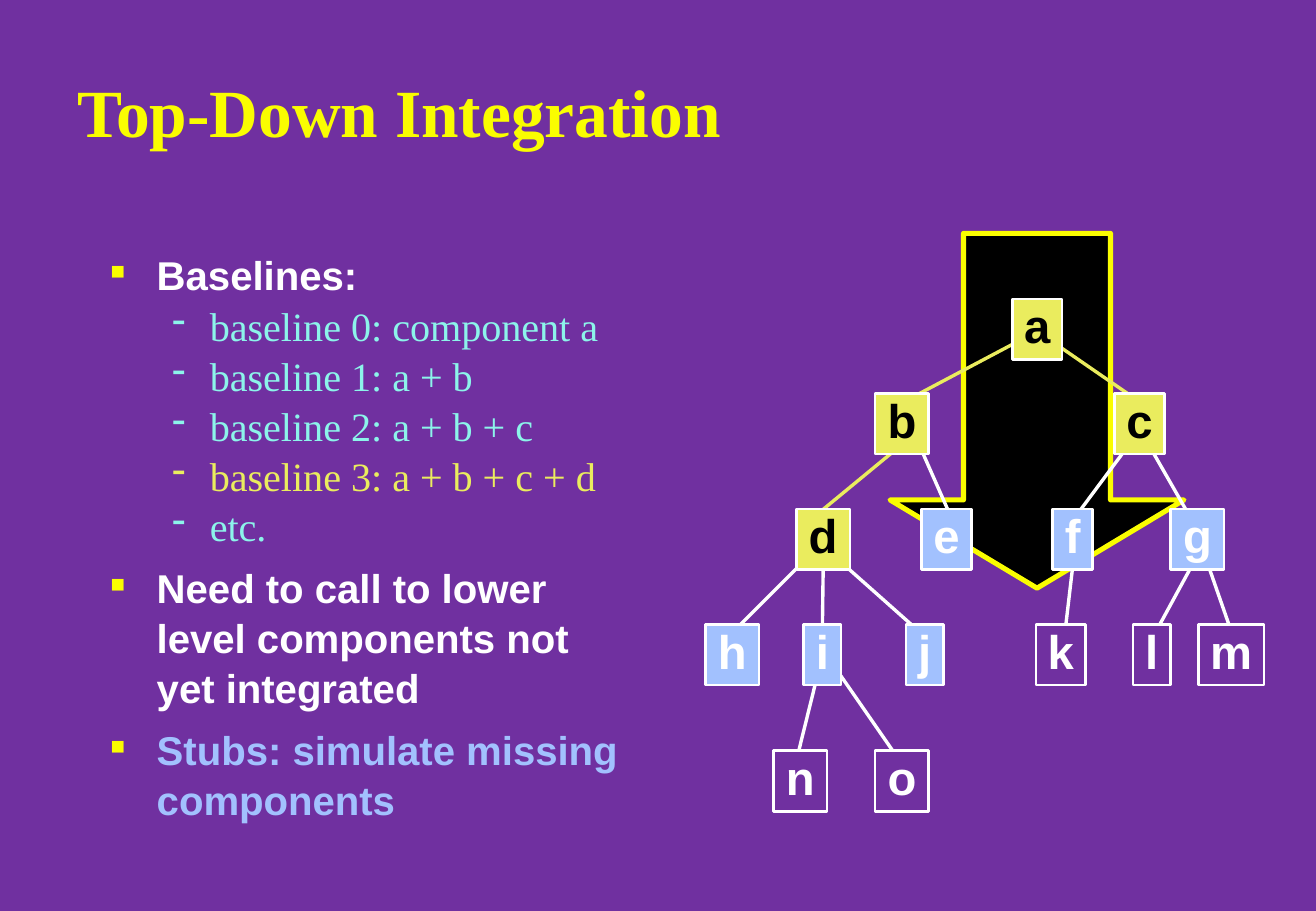
from lxml.etree import SubElement
from pptx import Presentation
from pptx.dml.color import RGBColor
from pptx.enum.shapes import MSO_CONNECTOR as Connector, MSO_SHAPE as Shape
from pptx.enum.text import MSO_ANCHOR as Anchor, PP_ALIGN as Align
from pptx.oxml.ns import qn
from pptx.util import Cm, Pt

PURPLE = RGBColor(0x70, 0x30, 0xA0)
YELLOW = RGBColor(0xFA, 0xFD, 0x00)
PALE_YELLOW = RGBColor(0xEA, 0xEC, 0x5E)
AQUA = RGBColor(0x8C, 0xF4, 0xEA)
BLUE = RGBColor(0xA2, 0xC1, 0xFE)
WHITE = RGBColor(0xFF, 0xFF, 0xFF)
BLACK = RGBColor(0x00, 0x00, 0x00)

SANS = "Arial"
SERIF = "Times New Roman"

POINTS = [
    ("Baselines:", WHITE, [
        ("baseline 0: component a", AQUA),
        ("baseline 1: a + b", AQUA),
        ("baseline 2: a + b + c", AQUA),
        ("baseline 3: a + b + c + d", PALE_YELLOW),
        ("etc.", AQUA),
    ]),
    ("Need to call to lower\nlevel components not\nyet integrated", WHITE, []),
    ("Stubs: simulate missing\ncomponents", BLUE, []),
]

INTEGRATED = "abcd"
STUBS = "efghij"
COMPONENT_HEIGHT = 1.27
COMPONENT_ROWS = [
    (6.25, {"a": 21.18}),
    (8.23, {"b": 18.31, "c": 23.32}),
    (10.64, {"d": 16.66, "e": 19.28, "f": 22.02, "g": 24.49}),
    (13.06, {"h": 14.76, "i": 16.81, "j": 18.95,
             "k": 21.67, "l": 23.7, "m": 25.07}),
    (15.7, {"n": 16.18, "o": 18.31}),
]
COMPONENT_WIDTHS = {"acek": 1.04, "bdghno": 1.12, "f": 0.84, "ijl": 0.79, "m": 1.37}

PENDING_CALLS = [
    (19.25, 9.35, 19.89, 10.8),
    (23.9, 8.92, 22.5, 10.8),
    (23.88, 9.04, 24.89, 10.8),
    (24.97, 11.76, 24.18, 13.21),
    (25.15, 11.46, 25.83, 13.41),
    (22.48, 11.51, 22.28, 13.21),
    (17.17, 11.38, 15.21, 13.34),
    (17.6, 11.76, 19.38, 13.34),
    (17.2, 13.72, 16.66, 15.9),
    (17.27, 13.67, 18.87, 15.98),
]
INTEGRATED_CALLS = [
    (21.54, 7.01, 18.95, 8.38),
    (21.82, 7.01, 23.88, 8.43),
    (18.8, 9.35, 17.04, 10.8),
]


def write(paragraph, text, *, font, size, color, bold=False,
          align=Align.LEFT, spacing=1.0, before=0):
    paragraph.alignment = align
    paragraph.line_spacing = spacing
    paragraph.space_before = Pt(before)
    for number, line in enumerate(text.split("\n")):
        if number:
            paragraph.add_line_break()
        run = paragraph.add_run()
        run.text = line
        run.font.name = font
        run.font.size = Pt(size)
        run.font.bold = bold
        run.font.color.rgb = color


def add_bullet(paragraph, mark, color, margin, hanging, percent=100):
    properties = paragraph._p.get_or_add_pPr()
    properties.set("marL", str(Cm(margin)))
    properties.set("indent", str(-Cm(hanging)))
    bullet_color = SubElement(properties, qn("a:buClr"))
    SubElement(bullet_color, qn("a:srgbClr"), val=str(color))
    SubElement(properties, qn("a:buSzPct"), val=str(percent * 1000))
    SubElement(properties, qn("a:buChar"), char=mark)


def add_text_frame(slide, left, top, width, height, anchor):
    frame = slide.shapes.add_textbox(
        Cm(left), Cm(top), Cm(width), Cm(height)).text_frame
    frame.word_wrap = True
    frame.vertical_anchor = anchor
    return frame


def add_points(slide):
    frame = add_text_frame(slide, 2.06, 5.08, 23.39, 11.86, Anchor.TOP)
    paragraph = frame.paragraphs[0]
    for index, (point, color, details) in enumerate(POINTS):
        if index:
            paragraph = frame.add_paragraph()
        write(paragraph, point, font=SANS, size=23.8, color=color,
              bold=True, spacing=1.04, before=7)
        add_bullet(paragraph, "■", YELLOW, 0.97, 0.97, 50)
        for detail, detail_color in details:
            paragraph = frame.add_paragraph()
            paragraph.level = 1
            write(paragraph, detail, font=SERIF, size=23.8,
                  color=detail_color, spacing=1.04)
            add_bullet(paragraph, "-", detail_color, 2.08, 0.79)


def add_box(slide, kind, left, top, width, height, fill, line, weight):
    box = slide.shapes.add_shape(kind, Cm(left), Cm(top), Cm(width), Cm(height))
    box.shadow.inherit = False
    box.fill.solid()
    box.fill.fore_color.rgb = fill
    box.line.color.rgb = line
    box.line.width = Pt(weight)
    return box


def add_call(slide, ends, color):
    call = slide.shapes.add_connector(Connector.STRAIGHT, *map(Cm, ends))
    call.line.color.rgb = color
    call.line.width = Pt(2)
    SubElement(call._element.spPr, qn("a:effectLst"))
    return call


def add_component(slide, letter, left, top):
    width = next(w for letters, w in COMPONENT_WIDTHS.items() if letter in letters)
    if letter in INTEGRATED:
        fill, ink = PALE_YELLOW, BLACK
    elif letter in STUBS:
        fill, ink = BLUE, WHITE
    else:
        fill, ink = PURPLE, WHITE
    component = add_box(slide, Shape.RECTANGLE, left, top, width,
                        COMPONENT_HEIGHT, fill, WHITE, 1.5)
    frame = component.text_frame
    frame.word_wrap = False
    frame.vertical_anchor = Anchor.MIDDLE
    write(frame.paragraphs[0], letter, font=SANS, size=28, color=ink,
          bold=True, align=Align.CENTER, spacing=0.85)
    return component


def add_component_tree(slide):
    for calls, color in ((PENDING_CALLS, WHITE), (INTEGRATED_CALLS, PALE_YELLOW)):
        for ends in calls:
            add_call(slide, ends, color)
    components = {
        letter: add_component(slide, letter, left, top)
        for top, row in COMPONENT_ROWS
        for letter, left in row.items()
    }
    stub_call = add_call(slide, (17.22, 11.91, 17.22, 13.06), WHITE)
    stub_call.begin_connect(components["d"], 2)
    stub_call.end_connect(components["i"], 0)


def main():
    deck = Presentation()
    deck.slide_width, deck.slide_height = Cm(27.53), Cm(19.05)
    slide = deck.slides.add_slide(deck.slide_layouts[6])
    slide.background.fill.solid()
    slide.background.fill.fore_color.rgb = PURPLE

    add_points(slide)
    direction = add_box(slide, Shape.DOWN_ARROW, 18.62, 4.88, 6.15, 7.42,
                        BLACK, YELLOW, 3)
    direction.adjustments[0] = 0.5
    direction.adjustments[1] = 0.3
    title = add_text_frame(slide, 1.37, 1.47, 23.39, 1.7, Anchor.MIDDLE)
    write(title.paragraphs[0], "Top-Down Integration", font=SERIF, size=40,
          color=YELLOW, bold=True)
    add_component_tree(slide)
    deck.save("out.pptx")


if __name__ == "__main__":
    main()
